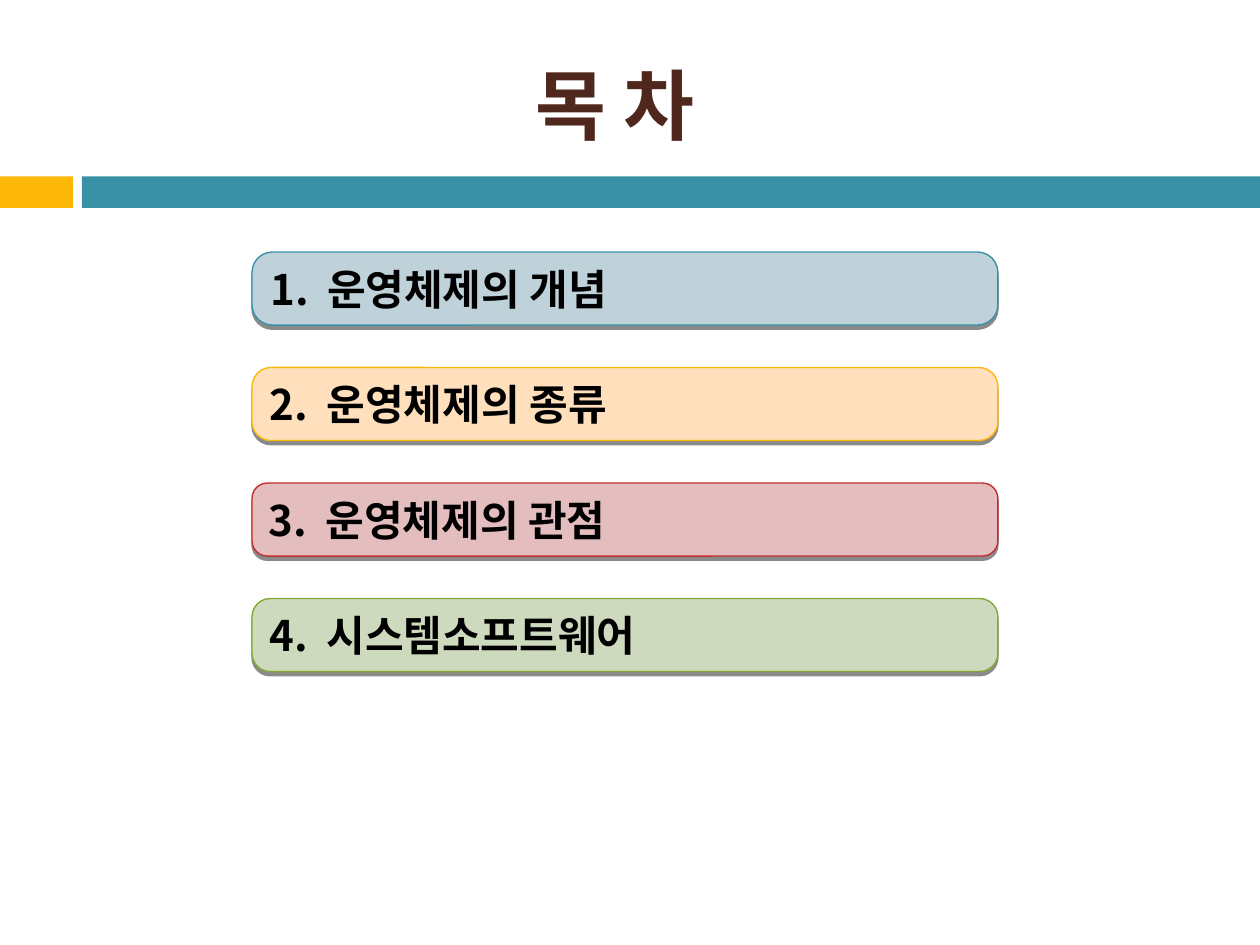
from lxml import etree
from pptx import Presentation
from pptx.dml.color import RGBColor
from pptx.enum.shapes import MSO_SHAPE
from pptx.enum.text import MSO_ANCHOR, PP_ALIGN
from pptx.oxml import parse_xml
from pptx.oxml.ns import nsdecls, qn
from pptx.util import Inches, Pt

RECTANGLE = MSO_SHAPE.RECTANGLE
ROUNDED = MSO_SHAPE.ROUNDED_RECTANGLE
MIDDLE = MSO_ANCHOR.MIDDLE
LEFT, CENTER = PP_ALIGN.LEFT, PP_ALIGN.CENTER
FONT = "Noto Sans CJK KR"
SHADOW = (
    f'<a:effectLst {nsdecls("a")}>'
    '<a:outerShdw blurRad="0" dist="30480" dir="5400000" rotWithShape="0">'
    '<a:srgbClr val="000000"><a:alpha val="45000"/></a:srgbClr>'
    '</a:outerShdw></a:effectLst>'
)


def color(value):
    return RGBColor.from_string(value)


def write(shape, text, size, fill, align=LEFT, tab=None):
    frame = shape.text_frame
    frame.word_wrap = True
    frame.vertical_anchor = MIDDLE
    para = frame.paragraphs[0]
    para.alignment = align
    span = para.add_run()
    span.text = text
    span.font.name = FONT
    span.font.size = Pt(size)
    span.font.bold = True
    span.font.color.rgb = color(fill)
    etree.SubElement(span.font._element, qn("a:ea"), typeface=FONT)
    if tab:
        stops = etree.SubElement(para._p.get_or_add_pPr(), qn("a:tabLst"))
        etree.SubElement(stops, qn("a:tab"), pos=str(Inches(tab)), algn="l")


deck = Presentation()
deck.slide_width = Inches(10)
deck.slide_height = Inches(7.5)
page = deck.slides.add_slide(deck.slide_layouts[6])

for left, width, fill in [(0, 0.58, "FEB80A"), (0.65, 9.35, "3891A7")]:
    band = page.shapes.add_shape(
        RECTANGLE, Inches(left), Inches(1.4), Inches(width), Inches(0.25)
    )
    band.shadow.inherit = False
    band.fill.solid()
    band.fill.fore_color.rgb = color(fill)
    band.line.fill.background()

title = page.shapes.add_textbox(
    Inches(0.42), Inches(0.28), Inches(8.92), Inches(1.08)
)
write(title, "목 차", 44, "4F271C", align=CENTER)

chapters = [
    ("운영체제의 개념", "BFD2D9", "3891A7", 0.28),
    ("운영체제의 종류", "FFDFBC", "FEB80A", 0.26),
    ("운영체제의 관점", "E4BEBE", "C32D2E", 0.21),
    ("시스템소프트웨어", "CEDABE", "84AA33", 0.25),
]
for index, (name, fill, outline, rounding) in enumerate(chapters):
    box = page.shapes.add_shape(
        ROUNDED, Inches(2), Inches(2 + index * 2.75 / 3), Inches(5.92), Inches(0.58)
    )
    box.adjustments[0] = rounding
    box.fill.solid()
    box.fill.fore_color.rgb = color(fill)
    box.line.color.rgb = color(outline)
    box.line.width = Pt(0.79)
    box._element.spPr.append(parse_xml(SHADOW))
    write(box, f"{index + 1}.\t{name}", 24, "000000", tab=0.45)

deck.save("out.pptx")
